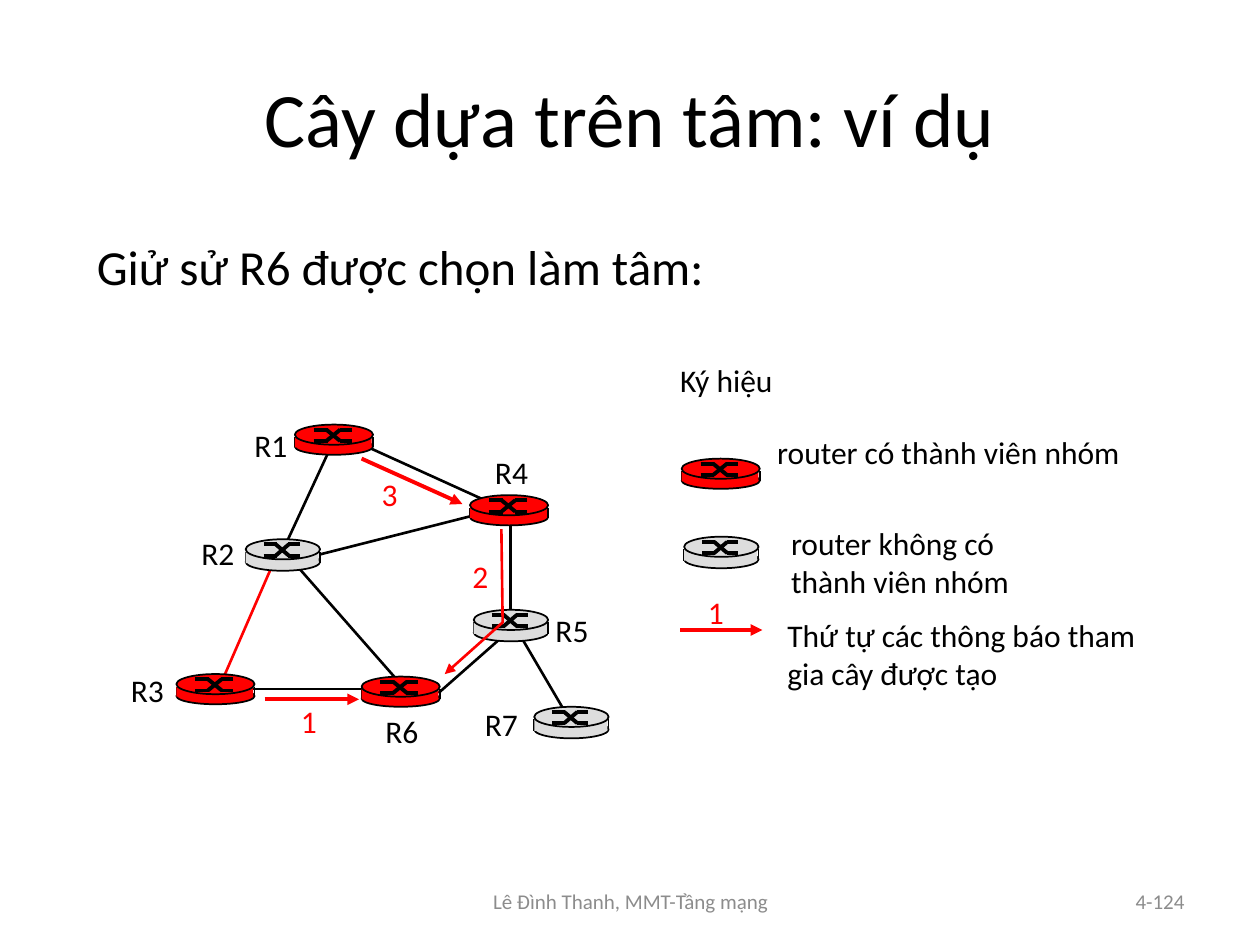
from dataclasses import dataclass
from typing import Any

from lxml import etree
from pptx import Presentation
from pptx.dml.color import RGBColor
from pptx.enum import shapes, text
from pptx.oxml.ns import qn
from pptx.util import Pt

PX = 9144  # EMU in one px, 100 px to the inch
BLACK, RED, GREY, MUTED = "000000", "FF0000", "DDDDDD", "8C8C8C"
LEFT, CENTER, RIGHT = (text.PP_ALIGN.LEFT, text.PP_ALIGN.CENTER,
                       text.PP_ALIGN.RIGHT)


def emu(*lengths):
    return [round(length * PX) for length in lengths]


def color(hex_code):
    return RGBColor.from_string(hex_code)


@dataclass
class Sketch:
    slide: Any
    font: str = "Calibri"
    size: int = 18

    def text(self, box, lines, size=None, ink=BLACK, align=LEFT,
             middle=False, wrap=True):
        frame = self.slide.shapes.add_textbox(*emu(*box)).text_frame
        frame.word_wrap = wrap
        if not wrap:
            frame.auto_size = text.MSO_AUTO_SIZE.SHAPE_TO_FIT_TEXT
        if middle:
            frame.vertical_anchor = text.MSO_ANCHOR.MIDDLE
        for number, line in enumerate(lines):
            paragraph = frame.add_paragraph() if number else frame.paragraphs[0]
            paragraph.alignment = align
            run = paragraph.add_run()
            run.text = line
            run.font.name = self.font
            run.font.size = Pt(size or self.size)
            run.font.color.rgb = color(ink)

    def stroke(self, shape, ink, width, arrow=False):
        shape.line.color.rgb = color(ink)
        shape.line.width = Pt(width)
        if arrow:
            outline = shape._element.spPr.get_or_add_ln()
            etree.SubElement(outline, qn("a:tailEnd"), type="triangle")

    def line(self, ends, ink=BLACK, width=1.5, arrow=False, parent=None):
        """Draw a straight line on the slide, or inside the parent group."""
        holder = (parent or self.slide).shapes
        connector = holder.add_connector(shapes.MSO_CONNECTOR.STRAIGHT, *emu(*ends))
        self.stroke(connector, ink, width, arrow)
        etree.SubElement(connector._element.spPr, qn("a:effectLst"))

    def solid(self, parent, kind, box, fill, outlined=True):
        shape = parent.shapes.add_shape(kind, *emu(*box))
        shape.shadow.inherit = False
        shape.fill.solid()
        shape.fill.fore_color.rgb = color(fill)
        if outlined:
            self.stroke(shape, BLACK, 1)
        else:
            shape.line.fill.background()

    def router(self, x, y, fill):
        """Draw a flat cylinder with two crossing paths on its lid."""
        width, height = (62, 13) if fill == RED else (59, 14)
        rim, side = y + 10, height - 5
        group = self.slide.shapes.add_group_shape()
        oval, rect = shapes.MSO_SHAPE.OVAL, shapes.MSO_SHAPE.RECTANGLE
        self.solid(group, oval, (x, rim + 1, width, height), fill)
        for edge in (x, x + width):
            self.line((edge, rim, edge, rim + side), width=1, parent=group)
        self.solid(group, rect, (x, rim, width - 1, side), fill, outlined=False)
        self.solid(group, oval, (x, y, width, 16), fill)
        a, b, c, d, e, f = (x + part * width / 62 for part in (15, 25, 26, 35.5, 36, 45))
        high, low = y + 4, y + 13
        for start, end in ((high, low), (low, high)):
            for ends in ((a, start, c, start), (d, end, f, end), (b, start, e, end)):
                self.line(ends, width=2.25, parent=group)

    def bent_arrow(self, points, ink, width):
        start, *rest = points
        builder = self.slide.shapes.build_freeform(*start, scale=PX)
        builder.add_line_segments(rest, close=False)
        arrow = builder.convert_to_shape()
        arrow.shadow.inherit = False
        arrow.fill.background()
        self.stroke(arrow, ink, width, arrow=True)


LINKS = [
    (408, 496, 452, 571), (254, 440, 404, 402), (225, 437, 319, 544),
    (290, 354, 398, 403), (348, 550, 406, 499), (405, 414, 405, 492),
    (189, 547, 301, 547), (262, 356, 224, 438),
]
ROUTERS = [
    (287, 537, RED), (373, 393, RED), (140, 535, RED), (376, 484, GREY),
    (195, 428, GREY), (234, 337, RED), (424, 561, GREY),
    (541, 364, RED), (543, 426, GREY),
]
ROUTER_NAMES = {
    "R1": (192, 333), "R2": (150, 419), "R3": (94, 528), "R4": (383, 355),
    "R5": (431, 480), "R6": (296, 560), "R7": (375, 555),
}
JOIN_ARROWS = [(540, 500, 605, 500), (210, 555, 285, 555), (287, 364, 367, 400)]
JOIN_ORDER = [("2", 365, 437), ("1", 552, 466), ("3", 293, 372), ("1", 229, 552)]
LEGEND = [
    ((530, 282, 102, 40), ["Ký hiệu"]),
    ((607, 339, 339, 40), ["router có thành viên nhóm"]),
    ((618, 411, 214, 71), ["router không có", "thành viên nhóm"]),
]


def main():
    deck = Presentation()
    deck.slide_width, deck.slide_height = emu(1000, 750)
    sketch = Sketch(deck.slides.add_slide(deck.slide_layouts[6]))

    sketch.text((50, 30, 900, 125), ["Cây dựa trên tâm: ví dụ"], size=44,
                align=CENTER, middle=True)
    sketch.text((67, 183, 875, 508), ["Giử sử R6 được chọn làm tâm:"], size=28)

    for link in LINKS:
        sketch.line(link)
    sketch.line((216, 449, 176, 541), RED)
    for router in ROUTERS:
        sketch.router(*router)
    for name, (x, y) in ROUTER_NAMES.items():
        sketch.text((x, y, 51, 40), [name], wrap=False)

    for box, lines in LEGEND:
        sketch.text(box, lines, wrap=False)
    sketch.text((615, 484, 331, 71), ["Thứ tự các thông báo tham gia cây được tạo"])

    sketch.bent_arrow([(398, 420), (399, 494), (353, 535)], RED, 1.5)
    for arrow in JOIN_ARROWS:
        sketch.line(arrow, RED, 2.25, arrow=True)
    for number, x, y in JOIN_ORDER:
        sketch.text((x, y, 33, 40), [number], ink=RED, wrap=False)

    sketch.text((717, 695, 233, 40), ["4-124"], 12, MUTED, RIGHT, middle=True)
    sketch.text((342, 695, 317, 40), ["Lê Đình Thanh, MMT-Tầng mạng"], 12, MUTED,
                CENTER, middle=True)
    deck.save("out.pptx")


if __name__ == "__main__":
    main()
